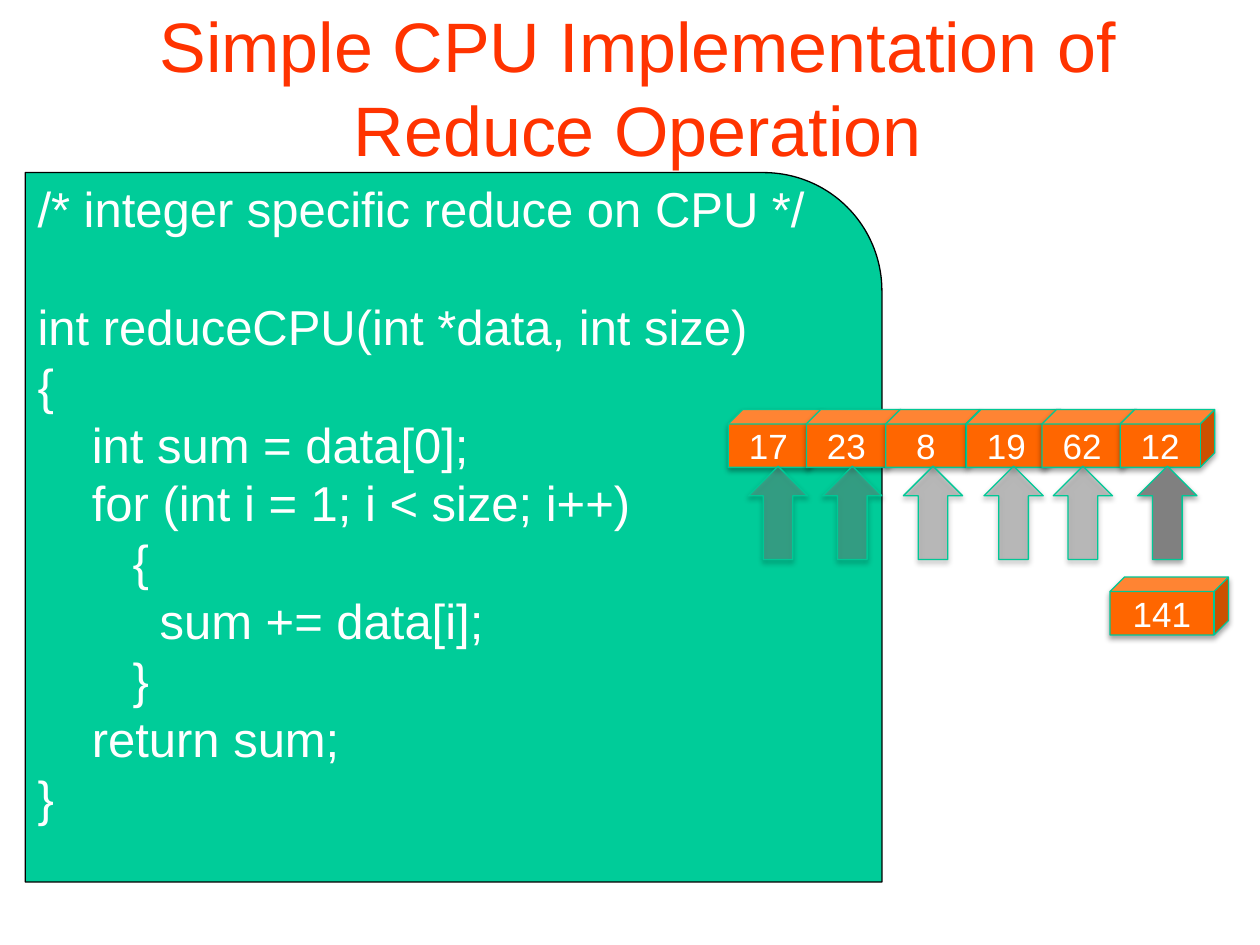
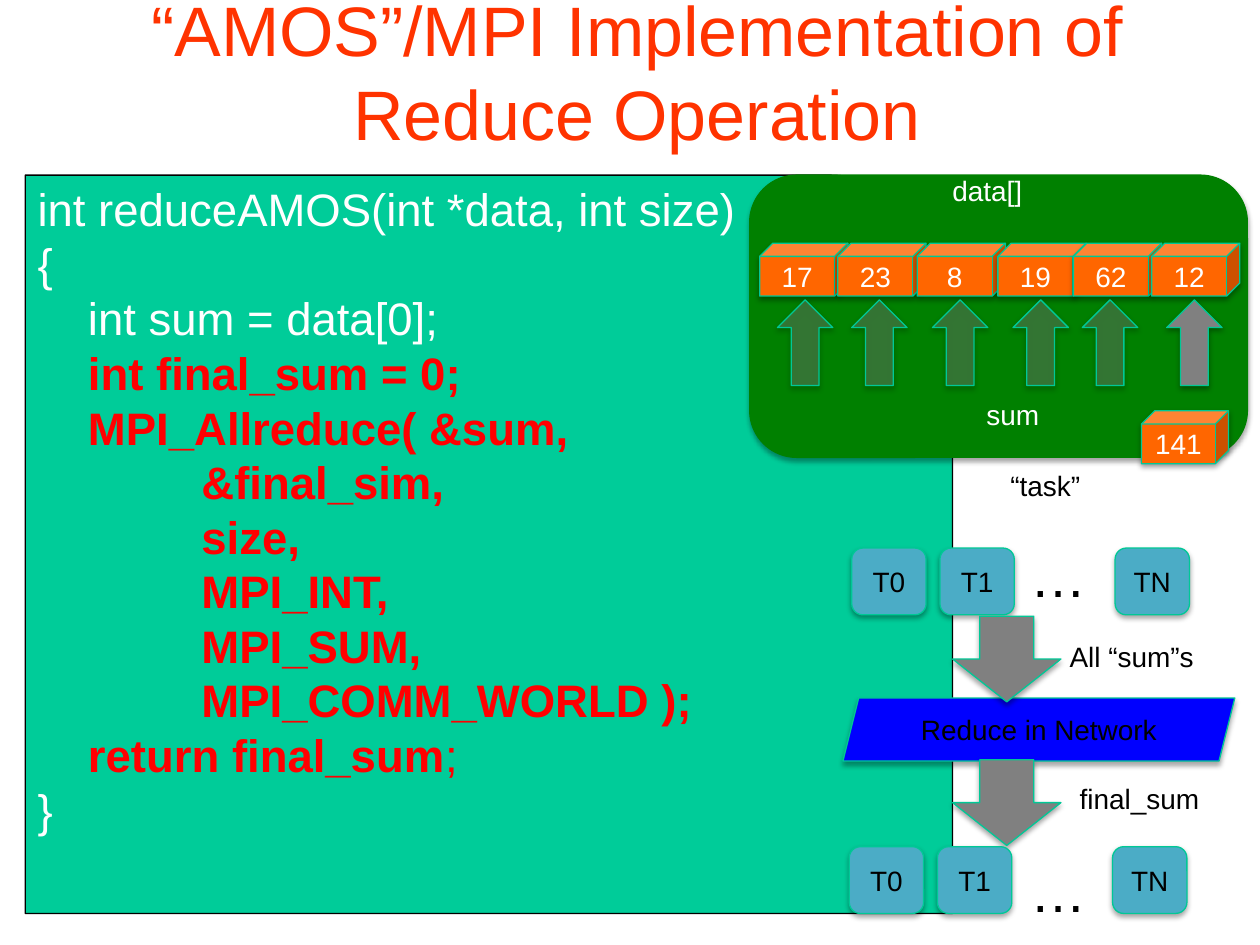
"""Build two slides that compare a CPU reduce with an MPI reduce."""
from dataclasses import dataclass, replace
from typing import Sequence

from lxml.etree import SubElement
from pptx import Presentation
from pptx.dml.color import RGBColor
from pptx.enum.shapes import MSO_SHAPE as Preset
from pptx.enum.text import MSO_ANCHOR as Anchor, PP_ALIGN as Align
from pptx.oxml.ns import qn
from pptx.util import Inches, Pt

COLUMNS, ROWS = 100, 75
SLIDE_WIDTH, SLIDE_HEIGHT = Inches(10), Inches(7.5)
FONT = "Arial"
LINE_HEIGHT = 1.2
COLOURS = {
    "title": "FF3300", "code": "00CC99", "edge": "00C896", "cube": "FF6600",
    "arrow": "808080", "panel": "008000", "task": "4BACC6", "network": "0000FF",
    "strong": "FF0000", "white": "FFFFFF", "black": "000000",
}
VALUES = ("17", "23", "8", "19", "62", "12")
CUBE_OFFSETS = (0, 6.2, 12.5, 18.9, 24.9, 31.1)
ARROW_OFFSETS = (0, 5.9, 12.3, 18.7, 24.2, 30.9)
TASK_OFFSETS = {"T0": 0, "T1": 7, "TN": 20.9}


@dataclass(frozen=True)
class Frame:
    """A place on the grid, in columns and rows."""
    left: float
    top: float
    width: float
    height: float

    def lengths(self) -> tuple[int, int, int, int]:
        """Return left, top, width and height as slide lengths."""
        column, row = SLIDE_WIDTH / COLUMNS, SLIDE_HEIGHT / ROWS
        return (round(self.left * column), round(self.top * row),
                round(self.width * column), round(self.height * row))

    def shifted(self, columns: float) -> "Frame":
        """Return the frame moved to the right."""
        return replace(self, left=round(self.left + columns, 1))


@dataclass(frozen=True)
class Span:
    """A stretch of code with one format."""
    text: str
    colour: str = "white"
    bold: bool = False


@dataclass(frozen=True)
class Label:
    """A free text on the diagram."""
    text: str
    frame: Frame
    colour: str = "black"
    size: float = 16


@dataclass(frozen=True)
class ArraySketch:
    """The number cubes with the arrows below them and their sum."""
    first_cube: Frame
    first_arrow: Frame
    total: Frame
    size: float


CPU_CODE = """/* integer specific reduce on CPU */

int reduceCPU(int *data, int size)
{
    int sum = data[0];
    for (int i = 1; i < size; i++)
       {
         sum += data[i];
       }
    return sum;
}"""

MPI_HEAD = """int reduceAMOS(int *data, int size)
{
    int sum = data[0];"""

MPI_CALL = """    int final_sum = 0;
    MPI_Allreduce( &sum,
             &final_sim,
             size,
             MPI_INT,
             MPI_SUM,
             MPI_COMM_WORLD );"""

CPU_SKETCH = ArraySketch(Frame(57.8, 32.5, 7.5, 4.6), Frame(59.4, 37, 4.7, 7.4),
                         Frame(88.1, 45.8, 9.4, 4.6), 20)
MPI_SKETCH = ArraySketch(Frame(60.3, 19.3, 7, 4.2), Frame(61.7, 23.8, 4.4, 6.8),
                         Frame(90.6, 32.6, 6.9, 4.2), 16)
LABELS = (
    Label("data[]", Frame(74.6, 13.3, 13.4, 3.7), "white"),
    Label("sum", Frame(77.3, 31.1, 10.2, 3.7), "white"),
    Label("“task”", Frame(79.2, 36.7, 8.5, 3.7)),
    Label("…", Frame(80.8, 42.5, 9.8, 6.4), size=32),
    Label("All “sum”s", Frame(83.9, 50.3, 14.5, 3.7)),
    Label("final_sum", Frame(84.7, 61.5, 14.5, 3.7)),
    Label("…", Frame(80.8, 67.5, 7.5, 6.4), size=32),
)


def code_lines(code: str, colour: str = "white", bold: bool = False) -> list[list[Span]]:
    """Split code into lines of one span each."""
    return [[Span(line, colour, bold)] for line in code.split("\n")]


def rgb(name: str) -> RGBColor:
    """Look up a named colour."""
    return RGBColor.from_string(COLOURS[name])


def write_text(shape, text: str | Sequence[Sequence[Span]], *, size: float,
               colour: str = "white", align=Align.LEFT, anchor=Anchor.TOP,
               wrap: bool = True) -> None:
    """Fill a shape with text, turning empty lines into space before the next one."""
    frame = shape.text_frame
    frame.word_wrap, frame.vertical_anchor = wrap, anchor
    lines = [[Span(text, colour)]] if isinstance(text, str) else text
    gap, para = 0.0, None
    for line in lines:
        if not any(span.text for span in line):
            gap += size * LINE_HEIGHT
            continue
        para = frame.paragraphs[0] if para is None else frame.add_paragraph()
        para.alignment = align
        if gap:
            para.space_before, gap = Pt(gap), 0.0
        for span in line:
            run = para.add_run()
            run.text = span.text
            run.font.name, run.font.size, run.font.bold = FONT, Pt(size), span.bold
            run.font.color.rgb = rgb(span.colour)


def add_text(page, text: str, frame: Frame, **text_format) -> None:
    """Add a text box."""
    write_text(page.shapes.add_textbox(*frame.lengths()), text, **text_format)


def add_shadow(shape) -> None:
    """Give a shape a soft shadow straight below it."""
    effects = shape._element.spPr.find(qn("a:effectLst"))
    shadow = SubElement(effects, qn("a:outerShdw"), blurRad=str(Pt(3.1)),
                        dist=str(Pt(1.8)), dir="5400000", rotWithShape="0")
    tone = SubElement(shadow, qn("a:srgbClr"), val=COLOURS["black"])
    SubElement(tone, qn("a:alpha"), val="35000")


def add_box(page, preset, frame: Frame, fill: str, *, edge: str = "edge",
            shadow: bool = True, opacity: int = 100):
    """Add a filled and outlined preset shape."""
    box = page.shapes.add_shape(preset, *frame.lengths())
    box.shadow.inherit = False
    box.fill.solid()
    box.fill.fore_color.rgb = rgb(fill)
    box.line.color.rgb = rgb(edge)
    box.line.width = Pt(0.75)
    if opacity < 100:
        tone = box._element.spPr.find(qn("a:solidFill")).find(qn("a:srgbClr"))
        SubElement(tone, qn("a:alpha"), val=str(opacity * 1000))
    if shadow:
        add_shadow(box)
    return box


def add_named_box(page, preset, frame: Frame, fill: str, text: str, *,
                  size: float = 16, colour: str = "black") -> None:
    """Add a shape with a centred name or number."""
    box = add_box(page, preset, frame, fill)
    write_text(box, text, size=size, colour=colour, align=Align.CENTER,
               anchor=Anchor.MIDDLE, wrap=False)


def add_title(page, text: str, frame: Frame) -> None:
    """Add the slide title."""
    add_text(page, text, frame, size=40, colour="title", align=Align.CENTER,
             anchor=Anchor.MIDDLE)


def add_code(page, lines: Sequence[Sequence[Span]], frame: Frame, size: float) -> None:
    """Add the code panel."""
    panel = add_box(page, Preset.ROUND_1_RECTANGLE, frame, "code", edge="black",
                    shadow=False)
    write_text(panel, lines, size=size)


def add_array(page, sketch: ArraySketch) -> None:
    """Draw the array, its total and the arrows, the last of them opaque."""
    cubes = [(value, sketch.first_cube.shifted(offset))
             for value, offset in zip(VALUES, CUBE_OFFSETS)]
    for value, frame in [*cubes, ("141", sketch.total)]:
        add_named_box(page, Preset.CUBE, frame, "cube", value, size=sketch.size,
                      colour="white")
    for offset in ARROW_OFFSETS:
        add_box(page, Preset.UP_ARROW, sketch.first_arrow.shifted(offset), "arrow",
                opacity=100 if offset == ARROW_OFFSETS[-1] else 40)


def add_tasks(page, first: Frame) -> None:
    """Draw one row of tasks."""
    for name, offset in TASK_OFFSETS.items():
        add_named_box(page, Preset.ROUNDED_RECTANGLE, first.shifted(offset), "task", name)


def build_cpu_slide(page) -> None:
    """Draw the serial reduce."""
    add_code(page, code_lines(CPU_CODE), Frame(2, 13.7, 68, 56.3), 28)
    add_title(page, "Simple CPU Implementation of Reduce Operation",
              Frame(2, 1.7, 97.2, 10.3))
    add_array(page, CPU_SKETCH)


def build_mpi_slide(page) -> None:
    """Draw the reduce across tasks."""
    result = [Span("    return final_sum", "strong", True), Span(";", "strong")]
    lines = [*code_lines(MPI_HEAD), *code_lines(MPI_CALL, "strong", True),
             result, *code_lines("}")]
    add_code(page, lines, Frame(2, 13.9, 73.6, 58.6), 26)
    add_box(page, Preset.ROUNDED_RECTANGLE, Frame(59.5, 13.9, 39.5, 22.4), "panel",
            edge="panel")
    add_title(page, "“AMOS”/MPI Implementation of Reduce Operation",
              Frame(2, 1.2, 97.1, 8.8))
    add_array(page, MPI_SKETCH)
    add_tasks(page, Frame(67.6, 43.5, 5.9, 5.3))
    add_named_box(page, Preset.PARALLELOGRAM, Frame(66.9, 55.4, 31.1, 5), "network",
                  "Reduce in Network")
    for top in (48.9, 60.3):
        arrow = add_box(page, Preset.UP_ARROW, Frame(75.6, top, 8.6, 6.8), "arrow")
        arrow.rotation = 180
    add_tasks(page, Frame(67.4, 67.2, 5.9, 5.3))
    for label in LABELS:
        add_text(page, label.text, label.frame, size=label.size, colour=label.colour)


def main() -> None:
    """Build and save the deck."""
    deck = Presentation()
    deck.slide_width, deck.slide_height = SLIDE_WIDTH, SLIDE_HEIGHT
    for build in (build_cpu_slide, build_mpi_slide):
        build(deck.slides.add_slide(deck.slide_layouts[6]))
    deck.save("out.pptx")


if __name__ == "__main__":
    main()
